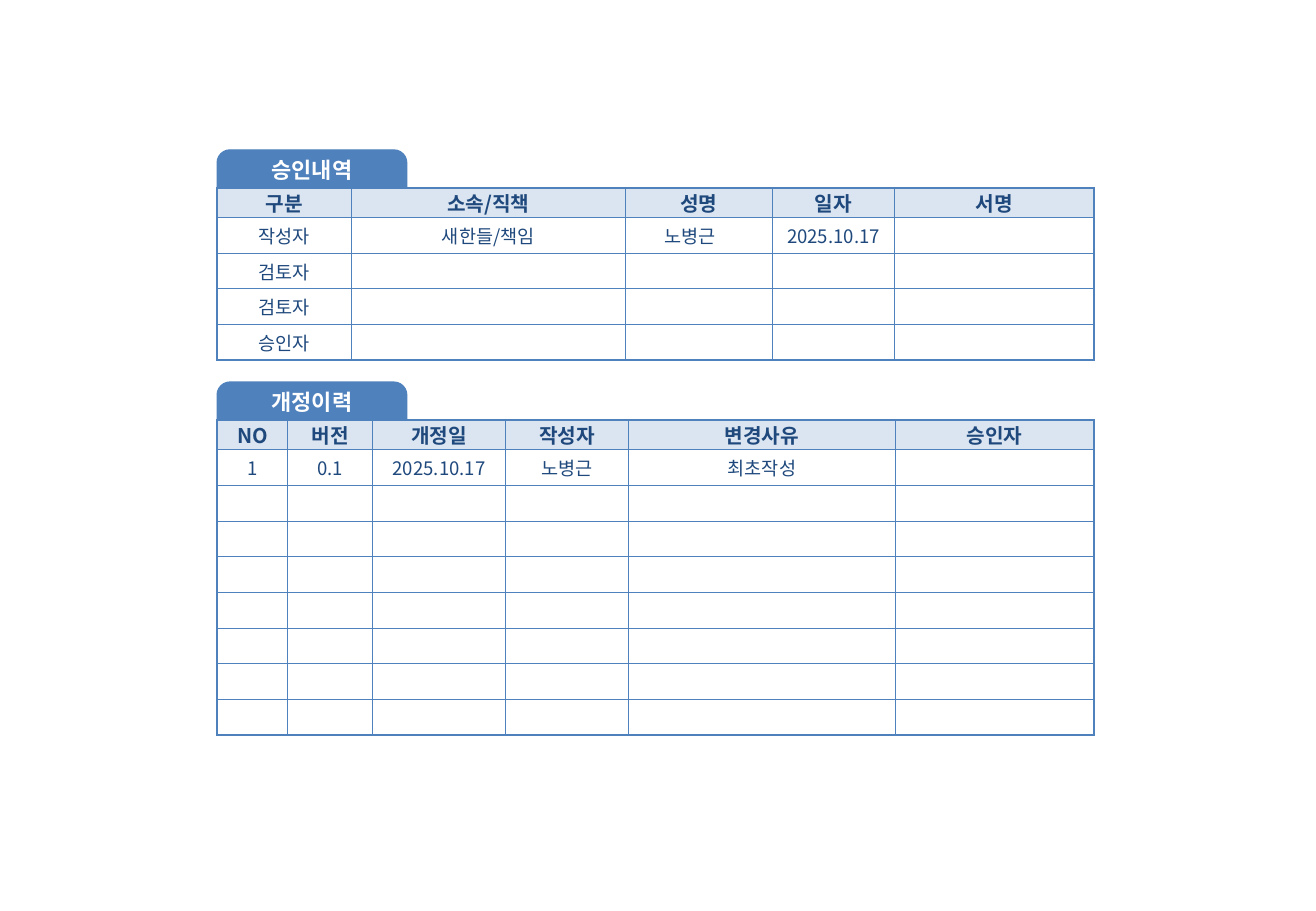
from lxml.etree import SubElement
from pptx import Presentation
from pptx.dml.color import RGBColor
from pptx.enum.shapes import MSO_SHAPE as SHAPE
from pptx.enum.text import MSO_ANCHOR as ANCHOR, PP_ALIGN as ALIGN
from pptx.oxml.ns import qn
from pptx.util import Pt

FONT = "Noto Sans CJK KR"
BLUE, NAVY, PALE, WHITE = "4F81BD", "1F497D", "DBE5F1", "FFFFFF"
LEFT = 128.7
TAB_W, TAB_H = 112.4, 22.5
HEAD_H, ROW_H = 16, 21.2
THIN, THICK = 0.5, 1.5

# title, table top, column widths, number of body rows, header, filled rows
SECTIONS = [
    ("승인내역", 111.4, [79.6, 162.5, 87.1, 72.4, 118.2], 4,
     ["구분", "소속/직책", "성명", "일자", "서명"],
     [["작성자", "새한들/책임", "노병근　", "2025.10.17"],
      ["검토자"], ["검토자"], ["승인자"]]),
    ("개정이력", 249, [41.8, 50.4, 78.8, 73, 158, 117.8], 8,
     ["NO", "버전", "개정일", "작성자", "변경사유", "승인자"],
     [["1", "0.1", "2025.10.17", "노병근", "최초작성"]]),
]


def rgb(color):
    return RGBColor.from_string(color)


def write(tf, text, size, color, bold):
    p = tf.paragraphs[0]
    p.alignment = ALIGN.CENTER
    f = p.font
    f.name, f.size, f.bold = FONT, Pt(size), bold
    f.color.rgb = rgb(color)
    SubElement(p._p.pPr.find(qn("a:defRPr")), qn("a:ea"), typeface=FONT)
    if text:
        p.add_run().text = text
    else:
        SubElement(p._p, qn("a:endParaRPr"), sz=str(size * 100))


def set_borders(cell, widths):
    """Draw the left, right, top and bottom borders, in that order."""
    tc_pr = cell._tc.get_or_add_tcPr()
    for side, width in zip("LRTB", widths):
        ln = SubElement(tc_pr, qn(f"a:ln{side}"), w=str(Pt(width)))
        fill = SubElement(ln, qn("a:solidFill"))
        SubElement(fill, qn("a:srgbClr"), val=BLUE)


def add_grid(s, top, widths, rows):
    n_rows, n_cols = len(rows), len(widths)
    height = HEAD_H + ROW_H * (n_rows - 1)
    table = s.shapes.add_table(n_rows, n_cols, Pt(LEFT), Pt(top),
                               Pt(sum(widths)), Pt(height)).table
    table.first_row = table.horz_banding = False
    for column, width in zip(table.columns, widths):
        column.width = Pt(width)
    for i, texts in enumerate(rows):
        head = i == 0
        table.rows[i].height = Pt(HEAD_H if head else ROW_H)
        for j in range(n_cols):
            cell = table.cell(i, j)
            cell.margin_left = cell.margin_right = 0
            cell.margin_top = cell.margin_bottom = 0
            cell.vertical_anchor = ANCHOR.MIDDLE
            outer = (j == 0, j == n_cols - 1, head, i == n_rows - 1)
            set_borders(cell, [THICK if edge else THIN for edge in outer])
            if head:
                cell.fill.solid()
                cell.fill.fore_color.rgb = rgb(PALE)
            else:
                cell.fill.background()
            text = texts[j] if j < len(texts) else ""
            write(cell.text_frame, text, 12 if head else 11, NAVY, head)


def add_tab(s, title, bottom):
    tab = s.shapes.add_shape(SHAPE.ROUND_2_SAME_RECTANGLE, Pt(LEFT),
                             Pt(bottom - TAB_H), Pt(TAB_W), Pt(TAB_H))
    tab.shadow.inherit = False
    tab.adjustments[0], tab.adjustments[1] = 0.34, 0
    tab.fill.solid()
    tab.fill.fore_color.rgb = rgb(BLUE)
    tab.line.color.rgb = rgb(BLUE)
    tab.line.width = Pt(0.75)
    tf = tab.text_frame
    tf.vertical_anchor = ANCHOR.MIDDLE
    tf.margin_left = tf.margin_right = Pt(2.9)
    tf.margin_top, tf.margin_bottom = 0, Pt(1.4)
    write(tf, title, 13, WHITE, True)


def main():
    prs = Presentation()
    prs.slide_width, prs.slide_height = Pt(780), Pt(540)
    s = prs.slides.add_slide(prs.slide_layouts[6])
    for title, top, widths, n_body, header, filled in SECTIONS:
        blank = [[] for _ in range(n_body - len(filled))]
        add_grid(s, top, widths, [header, *filled, *blank])
        add_tab(s, title, top)
    prs.save("out.pptx")


if __name__ == "__main__":
    main()
